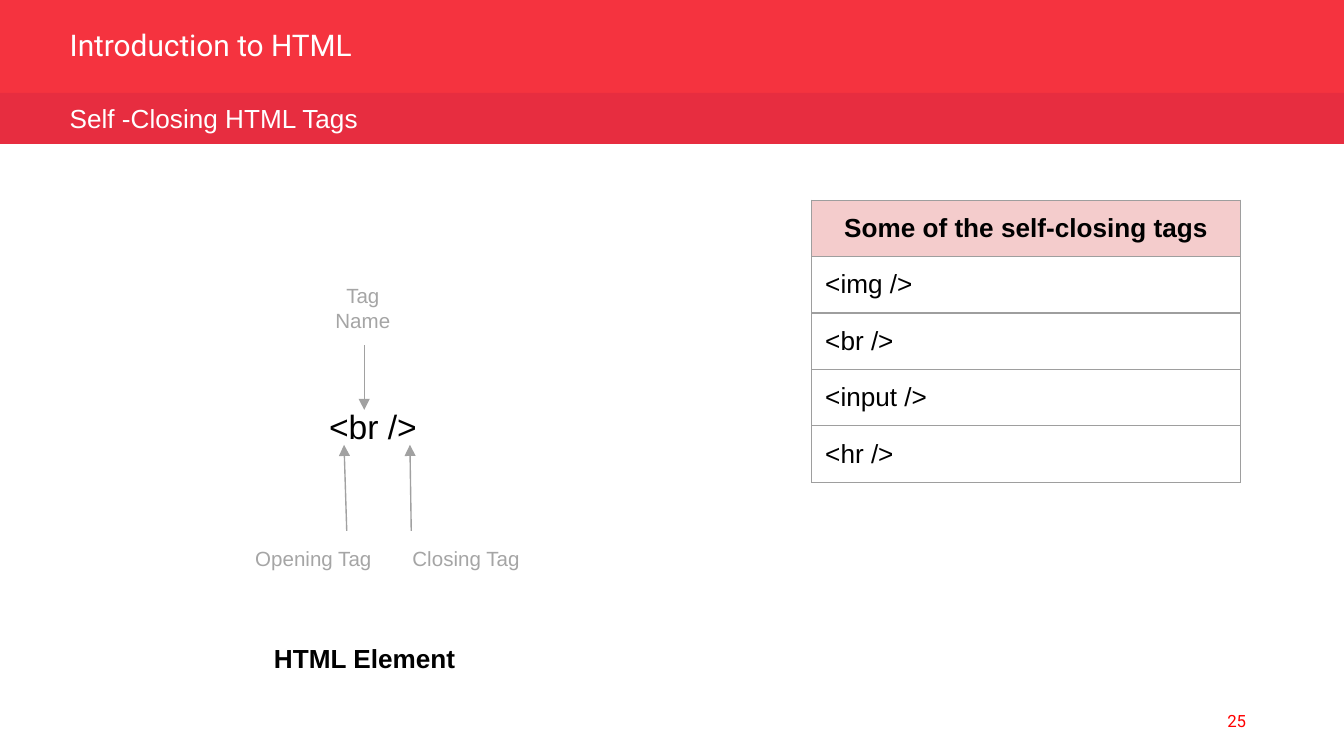
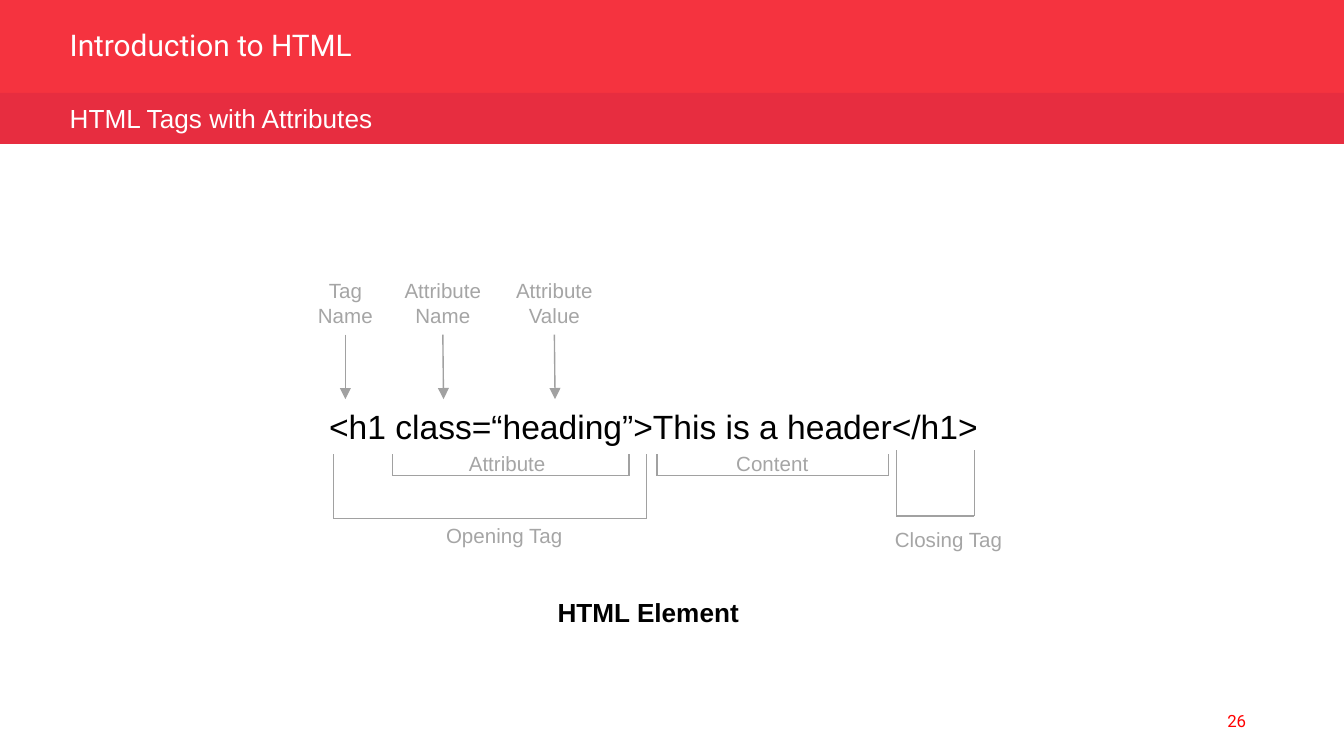
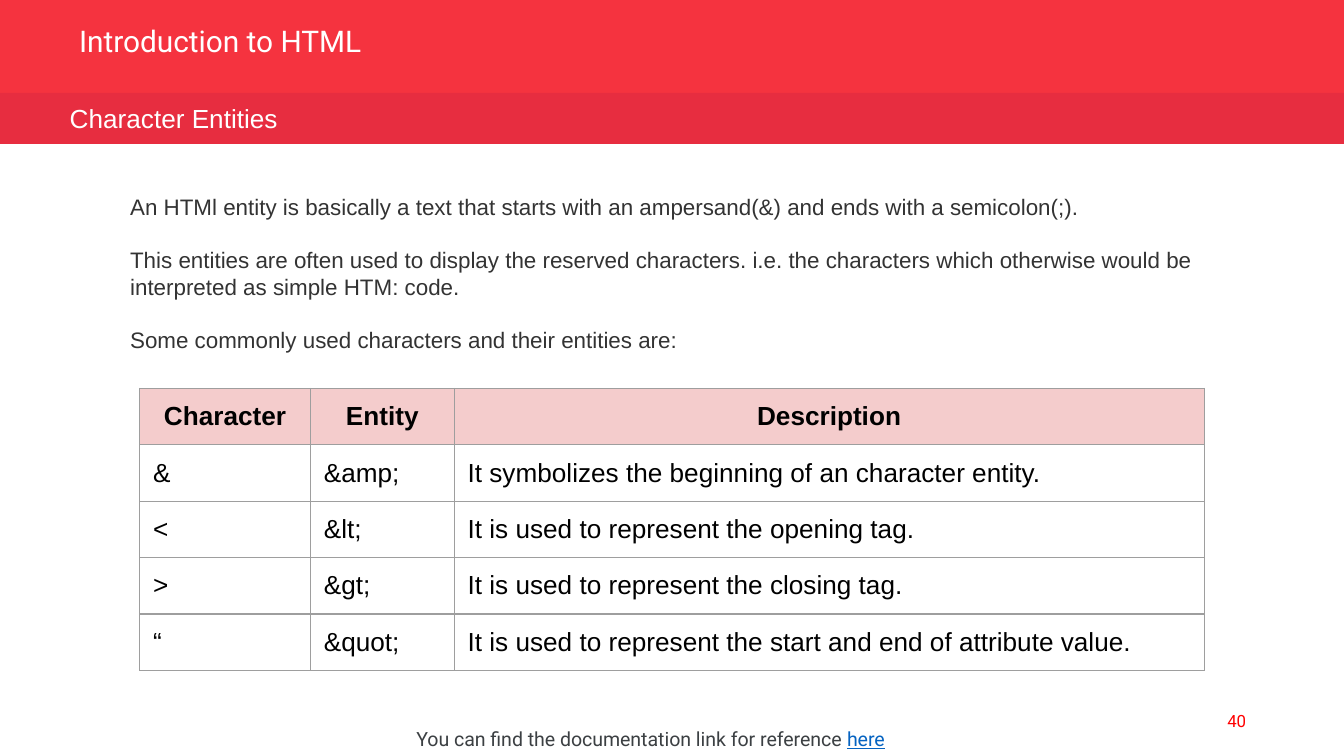
from lxml import etree
from pptx import Presentation
from pptx.dml.color import RGBColor
from pptx.enum.shapes import MSO_CONNECTOR, MSO_SHAPE
from pptx.enum.text import MSO_ANCHOR, PP_ALIGN
from pptx.oxml.ns import qn
from pptx.util import Inches, Pt

STRAIGHT = MSO_CONNECTOR.STRAIGHT
RECTANGLE = MSO_SHAPE.RECTANGLE
TOP, MIDDLE = MSO_ANCHOR.TOP, MSO_ANCHOR.MIDDLE
LEFT, CENTER, RIGHT = PP_ALIGN.LEFT, PP_ALIGN.CENTER, PP_ALIGN.RIGHT
BOTTOM_SITE = 2

# Shared style
RED, DARK_RED, PAGE_RED = "F5333F", "E72D40", "FF0000"
WHITE, BLACK, INK = "FFFFFF", "000000", "333333"
LABEL_GRAY, LINE_GRAY, BORDER_GRAY = "A5A5A5", "A1A1A1", "9E9E9E"
HEADER_PINK, NOTE_GRAY, LINK_BLUE = "F4CCCC", "3C4043", "0563C1"
BODY_FONT, TITLE_FONT = "Arial", "Roboto"
LINE_WIDTH = 0.75
ROW_HEIGHT = 0.42


def color(value):
    return RGBColor.from_string(value)


class Deck:
    def __init__(self):
        self.presentation = Presentation()
        self.presentation.slide_width = Inches(10)
        self.presentation.slide_height = Inches(10) * 9 // 16
        self.slide = None

    def new_slide(self, subtitle, number, title_left=0.42, title_top=0.14):
        layout = self.presentation.slide_layouts[6]
        self.slide = self.presentation.slides.add_slide(layout)
        self.band(0, 0.7, RED)
        self.band(0.69, 0.38, DARK_RED)
        title = self.text(title_left, title_top, 4.69, 0.44, "Introduction to HTML",
                          16, WHITE, font=TITLE_FONT, anchor=MIDDLE)
        title.text_frame.paragraphs[0].line_spacing = 0.8
        self.text(0.42, 0.71, 3.25, 0.34, subtitle, 14, WHITE)
        self.text(7.12, 5.21, 2.25, 0.3, str(number), 9, PAGE_RED,
                  font=TITLE_FONT, align=RIGHT, anchor=MIDDLE)

    def band(self, top, height, fill):
        shape = self.slide.shapes.add_shape(
            RECTANGLE, 0, Inches(top), self.presentation.slide_width, Inches(height))
        shape.shadow.inherit = False
        shape.fill.solid()
        shape.fill.fore_color.rgb = color(fill)
        shape.line.fill.background()

    def run(self, paragraph, text, size, ink, font=BODY_FONT, bold=False, underline=None):
        run = paragraph.add_run()
        run.text = text
        run.font.size = Pt(size)
        run.font.name = font
        run.font.bold = bold
        run.font.underline = underline
        run.font.color.rgb = color(ink)

    def text(self, left, top, width, height, paragraphs, size, ink, font=BODY_FONT,
             bold=False, align=LEFT, anchor=TOP, inset=0.05, gap=0):
        """Add a text box holding one string or a list of paragraphs."""
        box = self.slide.shapes.add_textbox(
            Inches(left), Inches(top), Inches(width), Inches(height))
        frame = box.text_frame
        frame.word_wrap = True
        frame.vertical_anchor = anchor
        frame.margin_left = frame.margin_right = Inches(0.1)
        frame.margin_top = frame.margin_bottom = Inches(inset)
        if isinstance(paragraphs, str):
            paragraphs = [paragraphs]
        for index, content in enumerate(paragraphs):
            paragraph = frame.add_paragraph() if index else frame.paragraphs[0]
            paragraph.alignment = align
            if index:
                paragraph.space_before = Pt(gap)
            self.run(paragraph, content, size, ink, font, bold)
        return box

    def label(self, left, top, width, text, height=0.29, align=LEFT):
        return self.text(left, top, width, height, text, 11, LABEL_GRAY, align=align)

    def line(self, start, end, arrow=False, source=None):
        connector = self.slide.shapes.add_connector(
            STRAIGHT, *(Inches(value) for value in (*start, *end)))
        connector.line.color.rgb = color(LINE_GRAY)
        connector.line.width = Pt(LINE_WIDTH)
        if arrow:
            etree.SubElement(connector.line._get_or_add_ln(), qn("a:tailEnd"), type="triangle")
        etree.SubElement(connector._element.spPr, qn("a:effectLst"))
        if source is not None:
            connector.begin_connect(source, BOTTOM_SITE)

    def bracket(self, left, right, top, bottom):
        self.line((left, top), (left, bottom))
        self.line((left, bottom), (right, bottom))
        self.line((right, bottom), (right, top))

    def border(self, cell):
        properties = cell._tc.get_or_add_tcPr()
        for position, side in enumerate(("lnL", "lnR", "lnT", "lnB")):
            edge = etree.Element(qn("a:" + side), w=str(Pt(LINE_WIDTH)))
            fill = etree.SubElement(edge, qn("a:solidFill"))
            etree.SubElement(fill, qn("a:srgbClr"), val=BORDER_GRAY)
            properties.insert(position, edge)

    def table(self, left, top, widths, rows):
        table = self.slide.shapes.add_table(
            len(rows), len(widths), Inches(left), Inches(top),
            Inches(sum(widths)), Inches(ROW_HEIGHT * len(rows))).table
        table.first_row = table.horz_banding = False
        for column, width in zip(table.columns, widths):
            column.width = Inches(width)
        for row_index, row in enumerate(rows):
            table.rows[row_index].height = Inches(ROW_HEIGHT)
            header = row_index == 0
            for column_index, content in enumerate(row):
                cell = table.cell(row_index, column_index)
                cell.margin_left = cell.margin_right = cell.margin_top = Inches(0.1)
                cell.margin_bottom = Inches(0.08)  # keeps the row at its set height
                if header:
                    cell.fill.solid()
                    cell.fill.fore_color.rgb = color(HEADER_PINK)
                else:
                    cell.fill.background()
                self.border(cell)
                paragraph = cell.text_frame.paragraphs[0]
                paragraph.alignment = CENTER if header else LEFT
                self.run(paragraph, content, 14, BLACK, bold=header)


def self_closing_tags(deck):
    deck.new_slide("Self -Closing HTML Tags", 25)

    # Annotated tag
    deck.text(2.35, 2.97, 5.08, 0.4, "<br />", 18, BLACK)
    deck.label(2.35, 2.06, 0.7, "Tag Name", height=0.47, align=CENTER)
    deck.label(1.8, 4.01, 1.08, "Opening Tag")
    deck.label(2.97, 4.01, 1.28, "Closing Tag")
    deck.line((2.71, 2.57), (2.71, 3.05), arrow=True)
    deck.line((2.58, 3.95), (2.56, 3.31), arrow=True)
    deck.line((3.06, 3.95), (3.05, 3.31), arrow=True)
    deck.text(1.94, 4.73, 1.67, 0.34, "HTML Element", 14, BLACK, bold=True)

    # Tag list
    tags = ["Some of the self-closing tags", "<img />", "<br />", "<input />", "<hr />"]
    deck.table(6.04, 1.49, [3.19], [[tag] for tag in tags])


def tags_with_attributes(deck):
    deck.new_slide("HTML Tags with Attributes", 26)
    deck.text(2.35, 2.97, 5.08, 0.4, "<h1 class=“heading”>This is a header</h1>", 18, BLACK)

    # Labels above, each with an arrow down to the code
    for left, width, name, target in (
            (2.22, 0.7, "Tag Name", 2.57),
            (2.84, 0.91, "Attribute Name", 3.3),
            (3.67, 0.91, "Attribute Value", 4.13)):
        label = deck.label(left, 2.02, width, name, height=0.47, align=CENTER)
        deck.line((left + width / 2, 2.49), (target, 2.97), arrow=True, source=label)

    # Brackets below, with their labels
    for left, right, top, bottom in (
            (2.92, 4.68, 3.38, 3.54),
            (4.89, 6.61, 3.38, 3.54),
            (2.48, 4.81, 3.38, 3.86),
            (6.67, 7.25, 3.35, 3.84)):
        deck.bracket(left, right, top, bottom)
    deck.label(3.39, 3.31, 0.91, "Attribute")
    deck.label(5.38, 3.31, 0.83, "Content")
    deck.label(3.22, 3.84, 1.08, "Opening Tag")
    deck.label(6.56, 3.87, 1.28, "Closing Tag")
    deck.text(4.05, 4.39, 1.98, 0.34, "HTML Element", 14, BLACK, bold=True)


def character_entities(deck):
    deck.new_slide("Character Entities", 40, title_left=0.49, title_top=0.11)

    # Entity table
    deck.table(1.04, 2.89, [1.27, 1.07, 5.58], [
        ("Character", "Entity", "Description"),
        ("&", "&amp;", "It symbolizes the beginning of an character entity."),
        ("<", "&lt;", "It is used to represent the opening tag."),
        (">", "&gt;", "It is used to represent the closing tag."),
        ("“", "&quot;", "It is used to represent the start and end of attribute value."),
    ])

    # Explanation
    deck.text(0.87, 1.34, 8.27, 1.48, [
        "An HTMl entity is basically a text that starts with an ampersand(&) "
        "and ends with a semicolon(;).",
        "This entities are often used to display the reserved characters. i.e. the "
        "characters which otherwise would be interpreted as simple HTM: code.",
        "Some commonly used characters and their entities are:",
    ], 12, INK, inset=0.1, gap=14)

    # Reference note
    note = deck.text(3, 5.32, 3.8, 0.3, "You can find the documentation link for reference ",
                     10.5, NOTE_GRAY, font=TITLE_FONT, inset=0.1)
    deck.run(note.text_frame.paragraphs[0], "here", 10.5, LINK_BLUE,
             font=TITLE_FONT, underline=True)


def main():
    deck = Deck()
    self_closing_tags(deck)
    tags_with_attributes(deck)
    character_entities(deck)
    deck.presentation.save("out.pptx")


if __name__ == "__main__":
    main()
